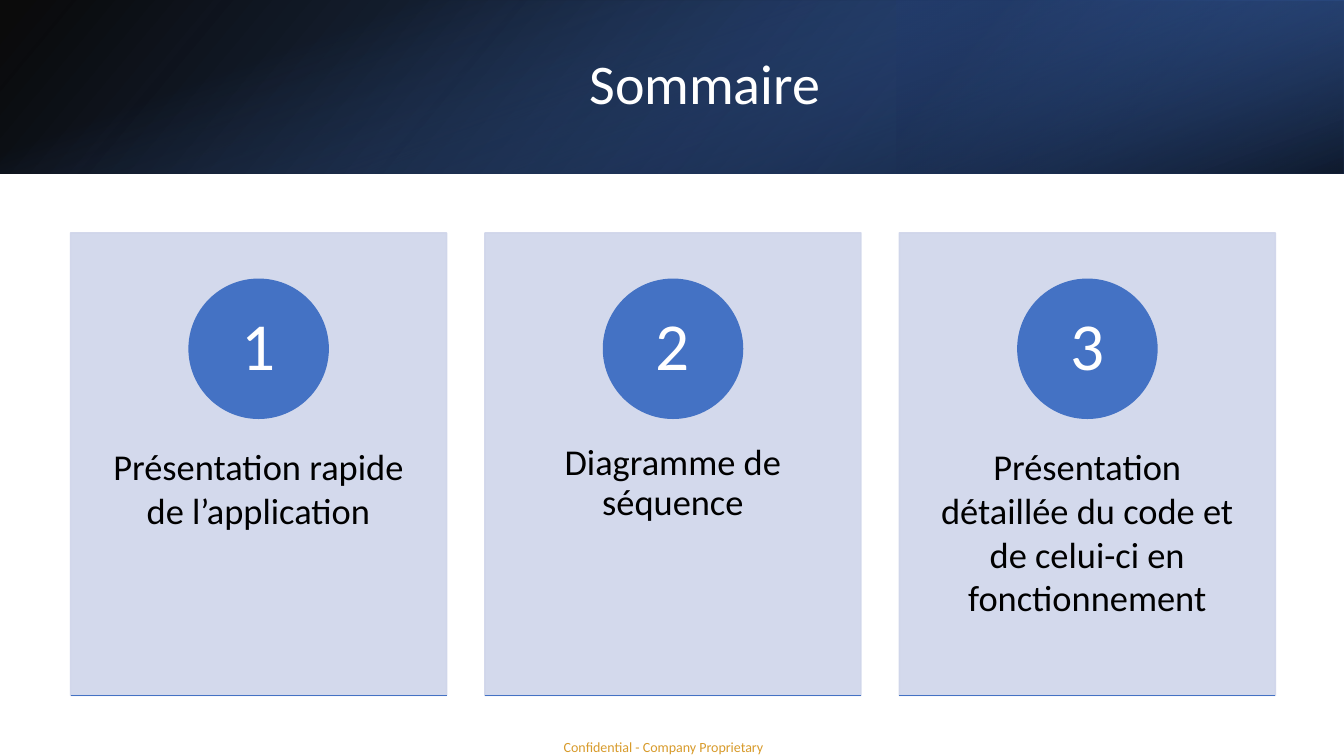
"""Build the "Sommaire" agenda slide with a gradient banner and three numbered cards."""
import pptx
import pptx.dml.color
import pptx.enum.shapes
import pptx.enum.text
import pptx.oxml
import pptx.oxml.ns
import pptx.util
from dataclasses import dataclass

Inches = pptx.util.Inches
SHAPES = pptx.enum.shapes.MSO_SHAPE
ANCHORS = pptx.enum.text.MSO_ANCHOR


@dataclass(frozen=True)
class Theme:
    font: str = "Calibri"
    black: str = "000000"
    white: str = "FFFFFF"
    navy: str = "203864"
    deep_blue: str = "2F5597"
    blue: str = "4472C4"
    pale: str = "CFD5EA"
    gold: str = "D89B2B"
    title_size: int = 40
    number_size: int = 48
    topic_size: int = 26
    footer_size: int = 10


theme = Theme()
rgb = pptx.dml.color.RGBColor.from_string


def set_alpha(element, percents):
    """Give each colour below the element its opacity in percent."""
    for color, percent in zip(element.iter(pptx.oxml.ns.qn("a:srgbClr")), percents):
        alpha = pptx.oxml.parse_xml(f'<a:alpha {pptx.oxml.ns.nsdecls("a")} val="{percent * 1000}"/>')
        color.append(alpha)


def add_text(box, text, size, color, insets=(0.1, 0.05), anchor=ANCHORS.TOP, spacing=1.0):
    """Place one centred, wrapped paragraph in a text box given in inches."""
    frame = slide.shapes.add_textbox(*map(Inches, box)).text_frame
    frame.word_wrap = True
    frame.vertical_anchor = anchor
    frame.margin_left = frame.margin_right = Inches(insets[0])
    frame.margin_top = frame.margin_bottom = Inches(insets[1])
    paragraph = frame.paragraphs[0]
    paragraph.text = text
    paragraph.alignment = pptx.enum.text.PP_ALIGN.CENTER
    paragraph.line_spacing = spacing
    font = paragraph.runs[0].font
    font.name = theme.font
    font.size = pptx.util.Pt(size)
    font.color.rgb = rgb(color)


deck = pptx.Presentation()
deck.slide_width, deck.slide_height = Inches(13.33), Inches(7.5)
slide = deck.slides.add_slide(deck.slide_layouts[6])

add_text((5.57, 7.33, 2.02, 0.17), "Confidential - Company Proprietary",
         theme.footer_size, theme.gold, insets=(0, 0))

banner_layers = [
    ((0, 0, 13.33, 1.72), 0, True, 140, [(0, theme.black, 96), (1, theme.deep_blue, 100)]),
    ((8.89, 0, 4.44, 1.72), 180, True, 320, [(0.19, theme.navy, 68), (1, theme.blue, 79)]),
    ((5.8, -5.8, 1.72, 13.33), 90, False, 340, [(0.23, theme.blue, 0), (0.99, theme.black, 74)]),
]
for box, rotation, flipped, angle, stops in banner_layers:
    layer = slide.shapes.add_shape(SHAPES.RECTANGLE, *map(Inches, box))
    layer.shadow.inherit = False
    layer.line.fill.background()
    layer.rotation = rotation
    if flipped:
        layer._element.spPr.xfrm.set("flipH", "1")
    layer.fill.gradient()
    layer.fill.gradient_angle = 360 - angle
    for stop, (position, color, _) in zip(layer.fill.gradient_stops, stops):
        stop.position = position
        stop.color.rgb = rgb(color)
    set_alpha(layer._element.spPr, [opacity for _, _, opacity in stops])

add_text((1.5, 0.38, 10.98, 0.96), "Sommaire", theme.title_size, theme.white,
         anchor=ANCHORS.MIDDLE, spacing=0.9)

topics = [
    ("Présentation rapide de l’application", 1.0),
    ("Diagramme de séquence", 0.9),
    ("Présentation détaillée du code et de celui-ci en fonctionnement", 1.0),
]
card_left, card_top, card_width, card_height, card_pitch = 0.7, 2.31, 3.73, 4.59, 4.11
badge_size, number_box = 1.38, 0.97

for index, (topic, spacing) in enumerate(topics):
    left = card_left + index * card_pitch
    center = left + card_width / 2
    bottom = card_top + card_height

    card = slide.shapes.add_shape(SHAPES.RECTANGLE, Inches(left), Inches(card_top),
                                  Inches(card_width), Inches(card_height))
    badge = slide.shapes.add_shape(SHAPES.OVAL, Inches(center - badge_size / 2), Inches(2.77),
                                   Inches(badge_size), Inches(badge_size))
    for shape, color in ((card, theme.pale), (badge, theme.blue)):
        shape.shadow.inherit = False
        shape.fill.solid()
        shape.fill.fore_color.rgb = rgb(color)
        shape.line.color.rgb = rgb(color)
        shape.line.width = pptx.util.Pt(1)
    set_alpha(card._element.spPr, [90, 90])

    add_text((left, 4.05, card_width, 2.75), topic, theme.topic_size, theme.black,
             insets=(0.29, 0.36), spacing=spacing)
    add_text((center - number_box / 2, 2.97, number_box, number_box), str(index + 1),
             theme.number_size, theme.white, insets=(0.11, 0.01),
             anchor=ANCHORS.MIDDLE, spacing=0.9)

    baseline = slide.shapes.add_connector(pptx.enum.shapes.MSO_CONNECTOR.STRAIGHT, Inches(left),
                                          Inches(bottom), Inches(left + card_width), Inches(bottom))
    baseline.line.color.rgb = rgb(theme.blue)
    baseline.line.width = pptx.util.Pt(1)
    baseline._element.spPr.append(
        pptx.oxml.parse_xml(f'<a:effectLst {pptx.oxml.ns.nsdecls("a")}/>'))

deck.save("out.pptx")
